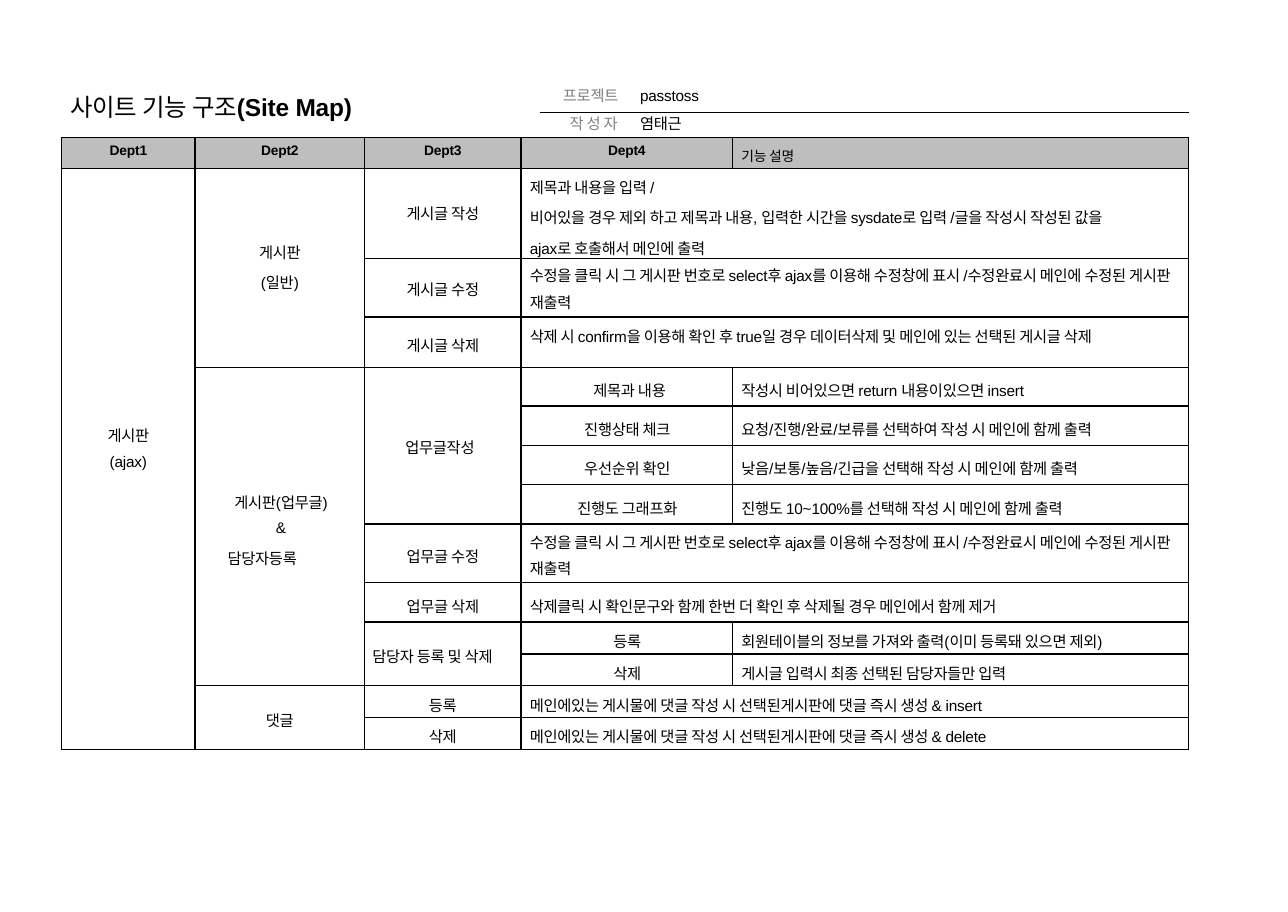
from dataclasses import dataclass
from itertools import product

from lxml.etree import SubElement
from pptx import Presentation
from pptx.dml.color import RGBColor
from pptx.enum.shapes import MSO_CONNECTOR as Connector
from pptx.enum.text import MSO_ANCHOR as Anchor, MSO_AUTO_SIZE as AutoSize, PP_ALIGN as Align
from pptx.oxml.ns import qn
from pptx.util import Emu, Pt

SCALE = 9144
KOREAN, LATIN = "Noto Sans CJK KR", "Arial"
BLACK, GRAY, HEADER_FILL, WHITE = "000000", "808080", "BEBEBE", "FFFFFF"
COLUMNS = [121, 154, 142, 192, 414]
ROWS = [28, 78, 53, 46, 35, 36, 35, 36, 53, 36, 29, 29, 29, 29]


@dataclass
class Entry:
    row: int
    col: int
    lines: list[str]
    top: int
    left: int = 0
    right: int = 0
    indent: int = 0
    rows: int = 1
    cols: int = 1
    align: Align = Align.CENTER
    gap: float = 0
    spacing: float | Pt | None = None
    size: int = 10


@dataclass
class Credit:
    label: str
    value: str
    x: int
    y: int
    width: int
    tab: int


def note(row: int, text: str, top: int, wide: bool = False, **options) -> Entry:
    col, cols = (3, 2) if wide else (4, 1)
    return Entry(row, col, text.split("\n"), top, left=8, cols=cols, align=Align.LEFT, **options)


EDIT_NOTE = "수정을 클릭 시 그 게시판 번호로 select후 ajax를 이용해 수정창에 표시 /수정완료시 메인에 수정된 게시판 재출력"
REPLY_NOTE = "메인에있는 게시물에 댓글 작성 시 선택된게시판에 댓글 즉시 생성 & "
WRITE_NOTE = (
    "제목과 내용을 입력 /\n"
    "비어있을 경우 제외 하고 제목과 내용, 입력한 시간을 sysdate로 입력 /글을 작성시 작성된 값을\n"
    "ajax로 호출해서 메인에 출력"
)

ENTRIES = [
    *(Entry(0, col, [f"Dept{col + 1}"], 5, size=9) for col in range(4)),
    note(0, "기능 설명", 7, size=9),
    Entry(1, 0, ["게시판", "(ajax)"], 232, rows=13, gap=5.2),
    Entry(1, 1, ["게시판", "(일반)"], 66, rows=3, gap=5.2),
    Entry(1, 2, ["게시글 작성"], 30),
    note(1, WRITE_NOTE, 7, wide=True, gap=5.3),
    Entry(2, 2, ["게시글 수정"], 18),
    note(2, EDIT_NOTE, 1, wide=True, spacing=Pt(17.3)),
    Entry(3, 2, ["게시글 삭제"], 15),
    note(3, "삭제 시 confirm을 이용해 확인 후 true일 경우 데이터삭제 및 메인에 있는 선택된 게시글 삭제", 7, wide=True),
    Entry(4, 1, ["게시판(업무글) &", "담당자등록"], 103, right=32, indent=34, rows=8, spacing=1.44),
    Entry(4, 2, ["업무글작성"], 62, left=37, rows=4, align=Align.LEFT),
    Entry(4, 3, ["제목과 내용"], 10, left=5),
    note(4, "작성시 비어있으면 return 내용이있으면 insert", 10),
    Entry(5, 3, ["진행상태 체크"], 11, left=1),
    note(5, "요청/진행/완료/보류를 선택하여 작성 시 메인에 함께 출력", 11),
    Entry(6, 3, ["우선순위 확인"], 10, left=1),
    note(6, "낮음/보통/높음/긴급을 선택해 작성 시 메인에 함께 출력", 10),
    Entry(7, 3, ["진행도 그래프화"], 11, left=1),
    note(7, "진행도 10~100%를 선택해 작성 시 메인에 함께 출력", 11),
    Entry(8, 2, ["업무글 수정"], 19),
    note(8, EDIT_NOTE, 2, wide=True, spacing=Pt(17.3)),
    Entry(9, 2, ["업무글 삭제"], 11),
    note(9, "삭제클릭 시 확인문구와 함께 한번 더 확인 후 삭제될 경우 메인에서 함께 제거", 11, wide=True),
    Entry(10, 2, ["담당자 등록 및 삭제"], 21, left=7, rows=2, align=Align.LEFT),
    Entry(10, 3, ["등록"], 7, left=1),
    note(10, "회원테이블의 정보를 가져와 출력(이미 등록돼 있으면 제외)", 7),
    Entry(11, 3, ["삭제"], 7, left=1),
    note(11, "게시글 입력시 최종 선택된 담당자들만 입력", 7),
    Entry(12, 1, ["댓글"], 21, rows=2),
    Entry(12, 2, ["등록"], 7),
    note(12, REPLY_NOTE + "insert", 7, wide=True),
    Entry(13, 2, ["삭제"], 7),
    note(13, REPLY_NOTE + "delete", 7, wide=True),
]

CREDITS = [
    Credit("프로젝트", "passtoss", 510, 77, 126, 70),
    Credit("작 성 자", "염태근", 516, 103, 107, 64),
]


def px(length: int) -> Emu:
    return Emu(length * SCALE)


def color(value: str) -> RGBColor:
    return RGBColor.from_string(value)


def split_scripts(text: str) -> list[tuple[bool, str]]:
    parts: list[tuple[bool, str]] = []
    for char in text:
        korean = parts[-1][0] if parts and char.isspace() else ord(char) > 127
        if parts and parts[-1][0] == korean:
            parts[-1] = (korean, parts[-1][1] + char)
        else:
            parts.append((korean, char))
    return parts


def write(para, text: str, *, size: int = 10, ink: str = BLACK, bold: bool = False) -> None:
    for korean, part in split_scripts(text):
        span = para.add_run()
        span.text = part
        span.font.size = Pt(size)
        span.font.bold = bold and not korean
        span.font.color.rgb = color(ink)
        span.font.name = KOREAN if korean else LATIN
        properties = span.font._element
        SubElement(properties, qn("a:ea"), typeface=span.font.name)
        properties.set("spc", "-15" if korean else "-10")


def set_margins(target, left: int = 0, top: int = 0, right: int = 0) -> None:
    target.margin_left, target.margin_top = px(left), px(top)
    target.margin_right, target.margin_bottom = px(right), px(0)


def style_cell(cell, fill: str) -> None:
    set_margins(cell)
    for side in ("lnL", "lnR", "lnT", "lnB"):
        border = SubElement(cell._tc.get_or_add_tcPr(), qn(f"a:{side}"), w=str(Pt(1)))
        paint = SubElement(border, qn("a:solidFill"))
        SubElement(paint, qn("a:srgbClr"), val=BLACK)
    cell.fill.solid()
    cell.fill.fore_color.rgb = color(fill)


def draw_entry(table, entry: Entry) -> None:
    cell = table.cell(entry.row, entry.col)
    if entry.rows * entry.cols > 1:
        cell.merge(table.cell(entry.row + entry.rows - 1, entry.col + entry.cols - 1))
    set_margins(cell, entry.left, entry.top, entry.right)
    cell.vertical_anchor = Anchor.TOP
    for index, line in enumerate(entry.lines):
        para = cell.text_frame.add_paragraph() if index else cell.text_frame.paragraphs[0]
        para.alignment = entry.align
        para.line_spacing = entry.spacing
        if index:
            para.space_before = Pt(entry.gap)
        elif entry.indent:
            para._p.get_or_add_pPr().set("marL", str(px(entry.indent)))
        write(para, line, size=entry.size, bold=entry.row == 0)


def draw_table(slide) -> None:
    frame = slide.shapes.add_table(
        len(ROWS), len(COLUMNS), px(56), px(125), px(sum(COLUMNS)), px(sum(ROWS)))
    table = frame.table
    table.first_row = table.horz_banding = False
    for column, width in zip(table.columns, COLUMNS):
        column.width = px(width)
    for row, height in zip(table.rows, ROWS):
        row.height = px(height)
    for row, col in product(range(len(ROWS)), range(len(COLUMNS))):
        style_cell(table.cell(row, col), WHITE if row else HEADER_FILL)
    for entry in ENTRIES:
        draw_entry(table, entry)


def draw_title(slide) -> None:
    title = slide.shapes.title
    title.left, title.top, title.width, title.height = px(63), px(83), px(274), px(29)
    frame = title.text_frame
    set_margins(frame, left=1, top=1)
    frame.auto_size, frame.vertical_anchor = AutoSize.NONE, Anchor.TOP
    frame.paragraphs[0].alignment = Align.LEFT
    write(frame.paragraphs[0], "사이트 기능 구조(Site Map)", size=16, bold=True)


def draw_credit(slide, credit: Credit) -> None:
    box = slide.shapes.add_textbox(px(credit.x), px(credit.y), px(credit.width), px(19))
    frame = box.text_frame
    frame.word_wrap = True
    set_margins(frame, left=1, top=1)
    para = frame.paragraphs[0]
    tabs = SubElement(para._p.get_or_add_pPr(), qn("a:tabLst"))
    SubElement(tabs, qn("a:tab"), pos=str(px(credit.tab)), algn="l")
    write(para, credit.label + "\t", ink=GRAY)
    write(para, credit.value)


def draw_rule(slide) -> None:
    rule = slide.shapes.add_connector(Connector.STRAIGHT, px(490), px(102), px(1079), px(102))
    rule.line.color.rgb = color(BLACK)
    rule.line.width = Pt(1)
    SubElement(rule._element.spPr, qn("a:effectLst"))


def main() -> None:
    deck = Presentation()
    deck.slide_width, deck.slide_height = px(1169), px(828)
    slide = deck.slides.add_slide(deck.slide_layouts[5])
    draw_table(slide)
    draw_title(slide)
    for credit in CREDITS:
        draw_credit(slide, credit)
    draw_rule(slide)
    deck.save("out.pptx")


if __name__ == "__main__":
    main()
